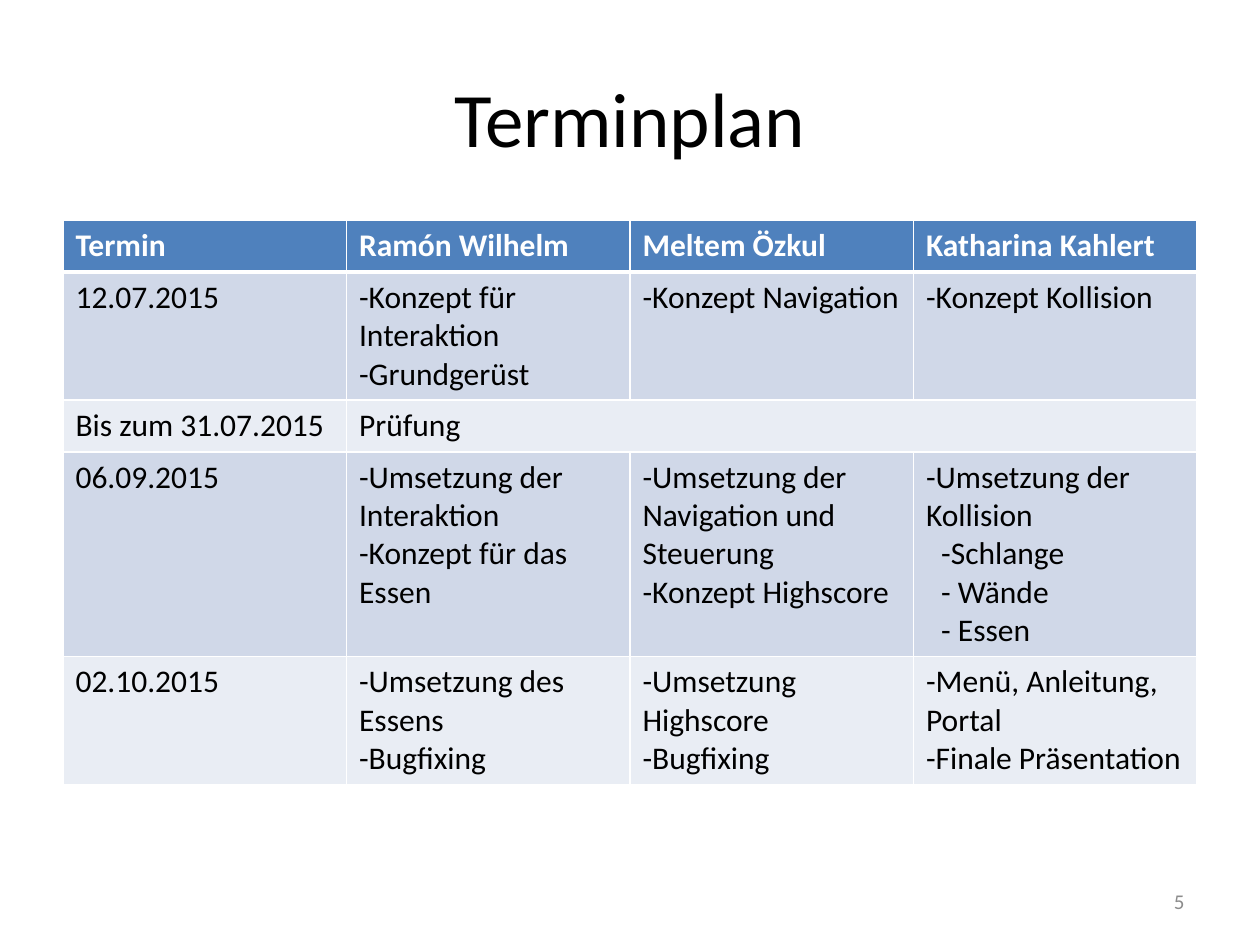
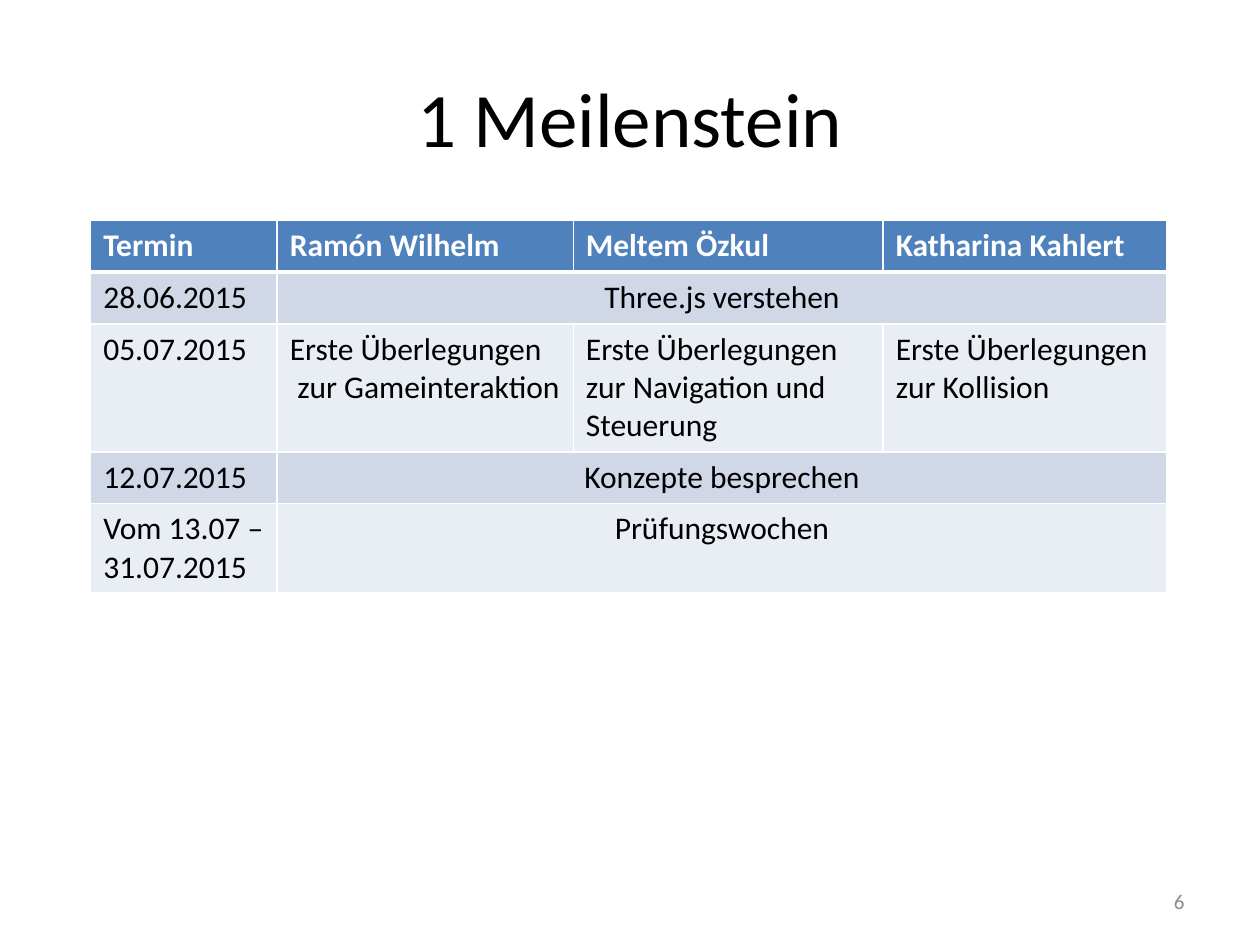
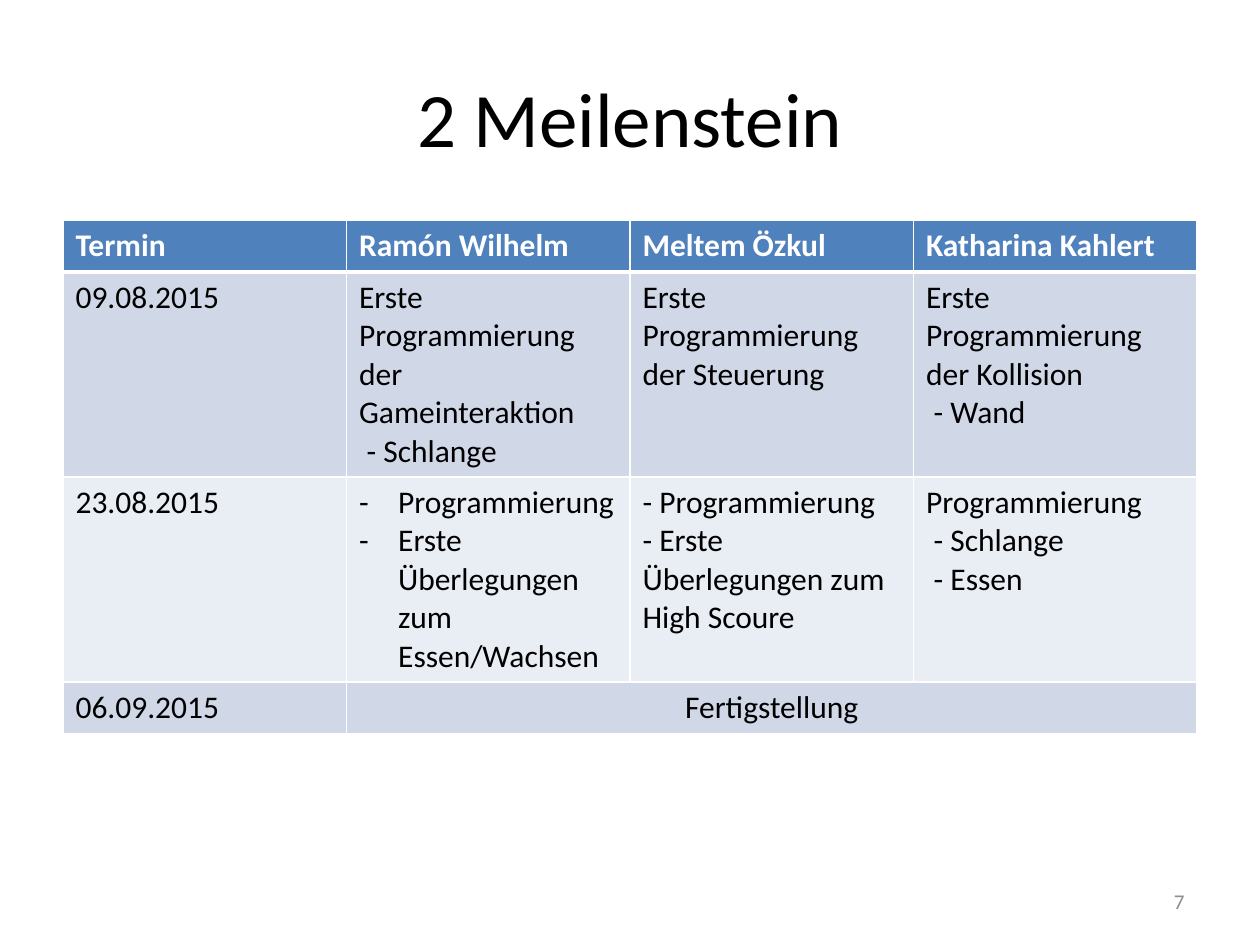
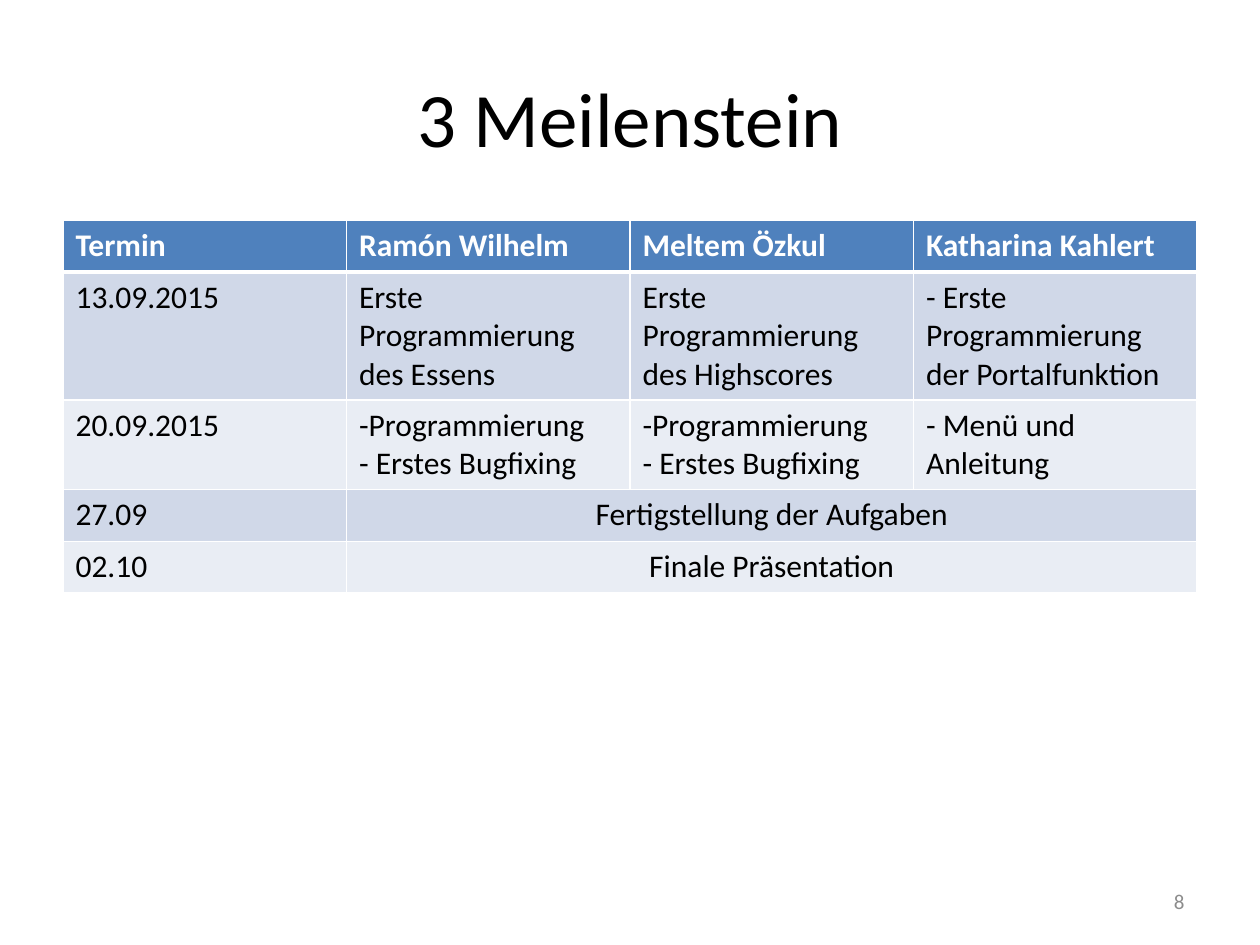
from lxml import etree
from pptx import Presentation
from pptx.dml.color import RGBColor
from pptx.enum.text import MSO_ANCHOR, PP_ALIGN
from pptx.oxml.ns import qn
from pptx.util import Inches, Pt

LEFT, CENTER, RIGHT = PP_ALIGN.LEFT, PP_ALIGN.CENTER, PP_ALIGN.RIGHT
MIDDLE = MSO_ANCHOR.MIDDLE

BLACK = RGBColor(0x00, 0x00, 0x00)
WHITE = RGBColor(0xFF, 0xFF, 0xFF)
GREY = RGBColor(0x8C, 0x8C, 0x8C)
BLUE = RGBColor(0x4F, 0x81, 0xBD)
BANDS = [RGBColor(0xD0, 0xD8, 0xE8), RGBColor(0xE9, 0xED, 0xF4)]

FONT = "Calibri"
TITLE_ONLY = 5
FIRST_NUMBER = 5
ROW_H = Inches(0.41)
HANG = Inches(0.31)
STEP = Inches(0.06)    # indent of a sub-item, per level
DASH = "dash"          # level of a paragraph with a hanging dash

prs = Presentation()
prs.slide_width, prs.slide_height = Inches(10), Inches(7.5)
W, H = prs.slide_width, prs.slide_height
MARGIN = int(W * 0.05)

HEADER = ["Termin", "Ramón Wilhelm", "Meltem Özkul", "Katharina Kahlert"]
EVEN = [2.25] * 4

# A cell is a list of paragraphs; a paragraph is a text or (text, level).
# A row with two cells spreads the second one over all three people.
SLIDES = [
    ("Terminplan", 0.5, EVEN, LEFT, [
        [["12.07.2015"], ["-Konzept für Interaktion", "-Grundgerüst"],
         ["-Konzept Navigation"], ["-Konzept Kollision"]],
        [["Bis zum 31.07.2015"], ["Prüfung"]],
        [["06.09.2015"],
         ["-Umsetzung der Interaktion", "-Konzept für das Essen"],
         ["-Umsetzung der Navigation und Steuerung", "-Konzept Highscore"],
         ["-Umsetzung der Kollision", ("-Schlange", 2), ("- Wände", 2),
          ("- Essen", 2)]],
        [["02.10.2015"], ["-Umsetzung des Essens", "-Bugfixing"],
         ["-Umsetzung Highscore", "-Bugfixing"],
         ["-Menü, Anleitung, Portal", "-Finale Präsentation"]],
    ]),
    ("1 Meilenstein", 0.72, [1.48, 2.35, 2.46, 2.25], CENTER, [
        [["28.06.2015"], ["Three.js verstehen"]],
        [["05.07.2015"],
         ["Erste Überlegungen", ("zur Gameinteraktion", 1)],
         ["Erste Überlegungen zur Navigation und Steuerung"],
         ["Erste Überlegungen zur Kollision"]],
        [["12.07.2015"], ["Konzepte besprechen"]],
        [["Vom 13.07 – 31.07.2015"], ["Prüfungswochen"]],
    ]),
    ("2 Meilenstein", 0.5, EVEN, CENTER, [
        [["09.08.2015"],
         ["Erste Programmierung der Gameinteraktion", ("- Schlange", 1)],
         ["Erste Programmierung der Steuerung"],
         ["Erste Programmierung der Kollision", ("- Wand", 1)]],
        [["23.08.2015"],
         [("Programmierung", DASH),
          ("Erste Überlegungen zum Essen/Wachsen", DASH)],
         ["- Programmierung", "- Erste Überlegungen zum High Scoure"],
         ["Programmierung", ("- Schlange", 1), ("- Essen", 1)]],
        [["06.09.2015"], ["Fertigstellung"]],
    ]),
    ("3 Meilenstein", 0.5, EVEN, CENTER, [
        [["13.09.2015"], ["Erste Programmierung des Essens"],
         ["Erste Programmierung des Highscores"],
         ["- Erste Programmierung der Portalfunktion"]],
        [["20.09.2015"], ["-Programmierung", "- Erstes Bugfixing"],
         ["-Programmierung", "- Erstes Bugfixing"],
         ["- Menü und Anleitung"]],
        [["27.09"], ["Fertigstellung der Aufgaben"]],
        [["02.10"], ["Finale Präsentation"]],
    ]),
]


def write(tf, paragraphs, size=18, color=BLACK, bold=False, align=LEFT):
    """Fill a text frame with formatted paragraphs."""
    tf.word_wrap = True
    for i, item in enumerate(paragraphs):
        text, level = (item, 0) if isinstance(item, str) else item
        p = tf.paragraphs[0] if i == 0 else tf.add_paragraph()
        p.alignment = align
        r = p.add_run()
        r.text = text
        r.font.name, r.font.size, r.font.bold = FONT, Pt(size), bold
        r.font.color.rgb = color
        pPr = p._p.get_or_add_pPr()
        if level == DASH:
            pPr.set("marL", str(HANG))
            pPr.set("indent", str(-HANG))
            etree.SubElement(pPr, qn("a:buFont")).set("typeface", FONT)
            etree.SubElement(pPr, qn("a:buChar")).set("char", "-")
        elif level:
            pPr.set("marL", str(STEP * level))


def style_cell(cell, fill, top=1, bottom=1):
    """Set a cell's fill and its white borders, in points."""
    cell.fill.solid()
    cell.fill.fore_color.rgb = fill
    tcPr = cell._tc.get_or_add_tcPr()
    sides = [("L", 1), ("R", 1), ("T", top), ("B", bottom)]
    for i, (side, width) in enumerate(sides):
        ln = etree.Element(qn("a:ln" + side), w=str(Pt(width)))
        solid = etree.SubElement(ln, qn("a:solidFill"))
        etree.SubElement(solid, qn("a:srgbClr")).set("val", str(WHITE))
        tcPr.insert(i, ln)


for number, (title, left, widths, span_align, body) in enumerate(
        SLIDES, FIRST_NUMBER):
    s = prs.slides.add_slide(prs.slide_layouts[TITLE_ONLY])

    sp = s.shapes.title
    sp.left, sp.top = MARGIN, int(H * 0.04)
    sp.width, sp.height = W - 2 * MARGIN, Inches(1.25)
    sp.text_frame.vertical_anchor = MIDDLE
    write(sp.text_frame, [title], size=44, align=CENTER)

    rows = [[[name] for name in HEADER]] + body
    table = s.shapes.add_table(
        len(rows), len(widths), Inches(left), Inches(1.75),
        Inches(sum(widths)), ROW_H * len(rows)).table
    for column, width in zip(table.columns, widths):
        column.width = Inches(width)
    for i, row in enumerate(rows):
        head = i == 0
        for cell in table.rows[i].cells:
            style_cell(cell, BLUE if head else BANDS[(i - 1) % 2],
                       top=3 if i == 1 else 1, bottom=3 if head else 1)
        spans = len(row) == 2
        if spans:
            table.cell(i, 1).merge(table.cell(i, len(widths) - 1))
        for j, paragraphs in enumerate(row):
            write(table.cell(i, j).text_frame, paragraphs, bold=head,
                  color=WHITE if head else BLACK,
                  align=span_align if spans and j else LEFT)

    box_w = Inches(2.33)
    sp = s.shapes.add_textbox(W - MARGIN - box_w, Inches(6.95),
                              box_w, Inches(0.4))
    sp.text_frame.vertical_anchor = MIDDLE
    write(sp.text_frame, [str(number)], size=12, color=GREY, align=RIGHT)

prs.save("out.pptx")
